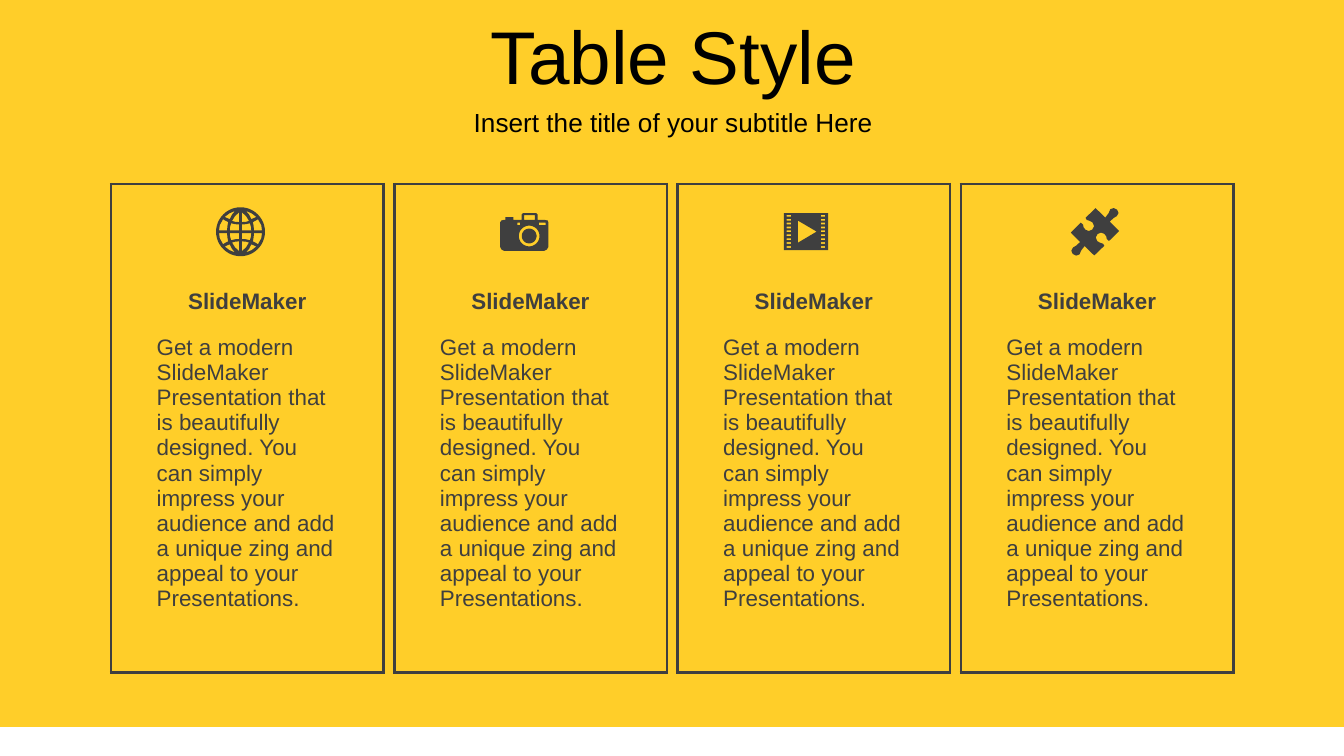
import math
from dataclasses import dataclass

import lxml.etree
import pptx
import pptx.dml.color
import pptx.enum.shapes
import pptx.enum.text
import pptx.oxml.ns
import pptx.util

Pt = pptx.util.Pt
ALIGN = pptx.enum.text.PP_ALIGN
MIDDLE = pptx.enum.text.MSO_ANCHOR.MIDDLE
ICON_UNIT = 0.72  # points per icon grid step


@dataclass(frozen=True)
class Theme:
    paper: str = "FFCE29"
    strip: str = "FFFFFF"
    ink: str = "3F3F3F"
    heading: str = "000000"
    font: str = "Arial"
    title_size: float = 40
    subtitle_size: float = 14
    body_size: float = 12
    border: float = 1.5


class Painter:
    def __init__(self, page, theme):
        self.page = page
        self.theme = theme

    def fill(self, target, color):
        target.fill.solid()
        target.fill.fore_color.rgb = pptx.dml.color.RGBColor.from_string(color)

    def background(self):
        self.fill(self.page.background, self.theme.paper)

    def plain(self, shape, color):
        self.fill(shape, color)
        shape.line.fill.background()
        shape.shadow.inherit = False

    def bar(self, left, top, width, height, color):
        kind = pptx.enum.shapes.MSO_SHAPE.RECTANGLE
        box = self.page.shapes.add_shape(kind, Pt(left), Pt(top), Pt(width), Pt(height))
        self.plain(box, color)

    def add_text(self, frame, text, size, color, bold=False, align=ALIGN.LEFT):
        para = frame.paragraphs[0]
        para.alignment = align
        span = para.add_run()
        span.text = text
        span.font.name = self.theme.font
        span.font.size = Pt(size)
        span.font.bold = bold
        span.font.color.rgb = pptx.dml.color.RGBColor.from_string(color)

    def heading(self, left, top, width, height, text, size):
        box = self.page.shapes.add_textbox(Pt(left), Pt(top), Pt(width), Pt(height))
        frame = box.text_frame
        frame.word_wrap = True
        frame.vertical_anchor = MIDDLE
        frame.margin_top = frame.margin_bottom = Pt(7.2)
        self.add_text(frame, text, size, self.theme.heading, align=ALIGN.CENTER)

    def cell_borders(self, cell, visible):
        properties = cell._tc.get_or_add_tcPr()
        name = pptx.oxml.ns.qn
        for side in "LRTB":
            line = lxml.etree.SubElement(properties, name("a:ln" + side))
            line.set("w", str(Pt(self.theme.border)))
            if side in visible:
                paint = lxml.etree.SubElement(line, name("a:solidFill"))
                lxml.etree.SubElement(paint, name("a:srgbClr")).set("val", self.theme.ink)
            else:
                lxml.etree.SubElement(line, name("a:noFill"))

    def card(self, left, top, widths, heights, label, body):
        table = self.page.shapes.add_table(
            len(heights), len(widths), Pt(left), Pt(top),
            Pt(sum(widths)), Pt(sum(heights))).table
        table.first_row = table.horz_banding = False
        for column, width in zip(table.columns, widths):
            column.width = Pt(width)
        for row, height in zip(table.rows, heights):
            row.height = Pt(height)

        # Only the outer edge of the card is drawn
        last_row, last_column = len(heights) - 1, len(widths) - 1
        for r in range(len(heights)):
            for c in range(len(widths)):
                edges = {"L": c == 0, "R": c == last_column, "T": r == 0, "B": r == last_row}
                cell = table.cell(r, c)
                self.cell_borders(cell, [side for side in edges if edges[side]])
                self.fill(cell, self.theme.paper)

        for r, text, bold, align in ((1, label, True, ALIGN.CENTER), (2, body, False, ALIGN.LEFT)):
            cell = table.cell(r, 1)
            cell.vertical_anchor = MIDDLE
            self.add_text(cell.text_frame, text, self.theme.body_size, self.theme.ink, bold, align)

    def icon(self, left, top, contours):
        def local(points):
            return [(x * ICON_UNIT * 100, y * ICON_UNIT * 100) for x, y in points]

        first, *others = [local(points) for points in contours]
        builder = self.page.shapes.build_freeform(*first[0], scale=float(Pt(0.01)))
        builder.add_line_segments(first[1:], close=True)
        for points in others:
            builder.move_to(*points[0])
            builder.add_line_segments(points[1:], close=True)
        self.plain(builder.convert_to_shape(Pt(left), Pt(top)), self.theme.ink)


# Icon outlines: the first contour is the body, inner ones are holes
def circle(x, y, radius, steps=48):
    angles = [2 * math.pi * i / steps for i in range(steps)]
    return [(x + radius * math.cos(a), y + radius * math.sin(a)) for a in angles]


def rectangle(left, top, right, bottom):
    return [(left, top), (right, top), (right, bottom), (left, bottom)]


def globe():
    quarter = [
        [(1, 1), (8, 1), (7.8, 3.5), (7, 6.3), (4, 5.6), (1, 5.4)],
        [(10, 1), (16, 1), (15.4, 5), (13, 9.3), (11.2, 8.2), (9.2, 7.2), (9.8, 4)],
        [(1, 7.2), (4, 7.4), (6.3, 8), (4.2, 11.5), (1, 14.5)],
        [(4, 15.5), (6.4, 12.7), (8, 9.4), (10, 10.2), (11.8, 11), (8.3, 13.7)],
    ]
    return [circle(0, 0, 18.2)] + [
        [(x * across, y * down) for x, y in hole]
        for hole in quarter for across in (1, -1) for down in (1, -1)]


def camera():
    body = [(0, 7), (1, 5.5), (3, 5), (4, 5), (4, 3), (10, 3), (10, 5), (16, 5), (16, 1),
            (17, 0), (27, 0), (28, 1), (28, 5), (33, 5), (35.5, 5.5), (36, 7), (36, 25),
            (35, 27), (33, 28), (3, 28), (1, 27), (0, 25)]
    return [body, circle(21.7, 17, 7.7), circle(21.7, 17, 5.5), rectangle(13, 7, 15, 9),
            rectangle(29, 7, 34, 9), rectangle(18, 1.5, 26, 5)]


def film():
    sprockets = [rectangle(x, 1.3 + 2.9 * i, x + 3.3, 2.6 + 2.9 * i)
                 for x in (2.2, 27.6) for i in range(9)]
    play = [(10.5, 5.5), (24.5, 13.7), (10.5, 22)]
    return [rectangle(0, 0, 33, 27.5), play] + sprockets


def puzzle():
    half = [(16.5, -16.5), (17.6, -14), (16.3, -11.7), (14, -10.3), (11, -7.6), (18, -0.5),
            (10.5, 6.8), (8.8, 5.3), (8.4, 3.3), (7, 1.5), (4.5, 0.6), (2, 1.6), (0.6, 4.2),
            (1.8, 7), (4, 8.2), (6, 8.8), (7, 10.4), (-0.5, 17.6), (-7.7, 10.6),
            (-10.2, 13.8), (-11.5, 16.8), (-14, 17.7)]
    return [half + [(-x, -y) for x, y in half]]


LABEL = "SlideMaker"
BODY = ("Get a modern SlideMaker Presentation that is beautifully designed. You can simply "
        "impress your audience and add a unique zing and appeal to your Presentations.")
CARD_LEFT, CARD_TOP, CARD_PITCH = 59.5, 98.6, 151.75
COLUMN_WIDTHS = (17, 111.5, 17)
ROW_HEIGHTS = (48.2, 25.2, 110.2, 14.4)
ICONS = ((128.9, 124.2, globe()), (267.9, 114.2, camera()),
         (419.9, 114.2, film()), (586.6, 124.2, puzzle()))


def main():
    deck = pptx.Presentation()
    deck.slide_width, deck.slide_height = Pt(720), Pt(405)
    theme = Theme()
    painter = Painter(deck.slides.add_slide(deck.slide_layouts[6]), theme)

    # Background and bottom strip
    painter.background()
    painter.bar(0, 389.5, 720, 15.5, theme.strip)

    # Cards with their icons
    for i in range(len(ICONS)):
        left = CARD_LEFT + i * CARD_PITCH
        painter.card(left, CARD_TOP, COLUMN_WIDTHS, ROW_HEIGHTS, LABEL, BODY)
    for left, top, contours in ICONS:
        painter.icon(left, top, contours)

    # Title and subtitle
    painter.heading(1.4, 6.5, 718.6, 46, "Table Style", theme.title_size)
    painter.heading(0, 53.3, 721.4, 24.5, "Insert the title of your subtitle Here",
                    theme.subtitle_size)

    deck.save("out.pptx")


if __name__ == "__main__":
    main()
